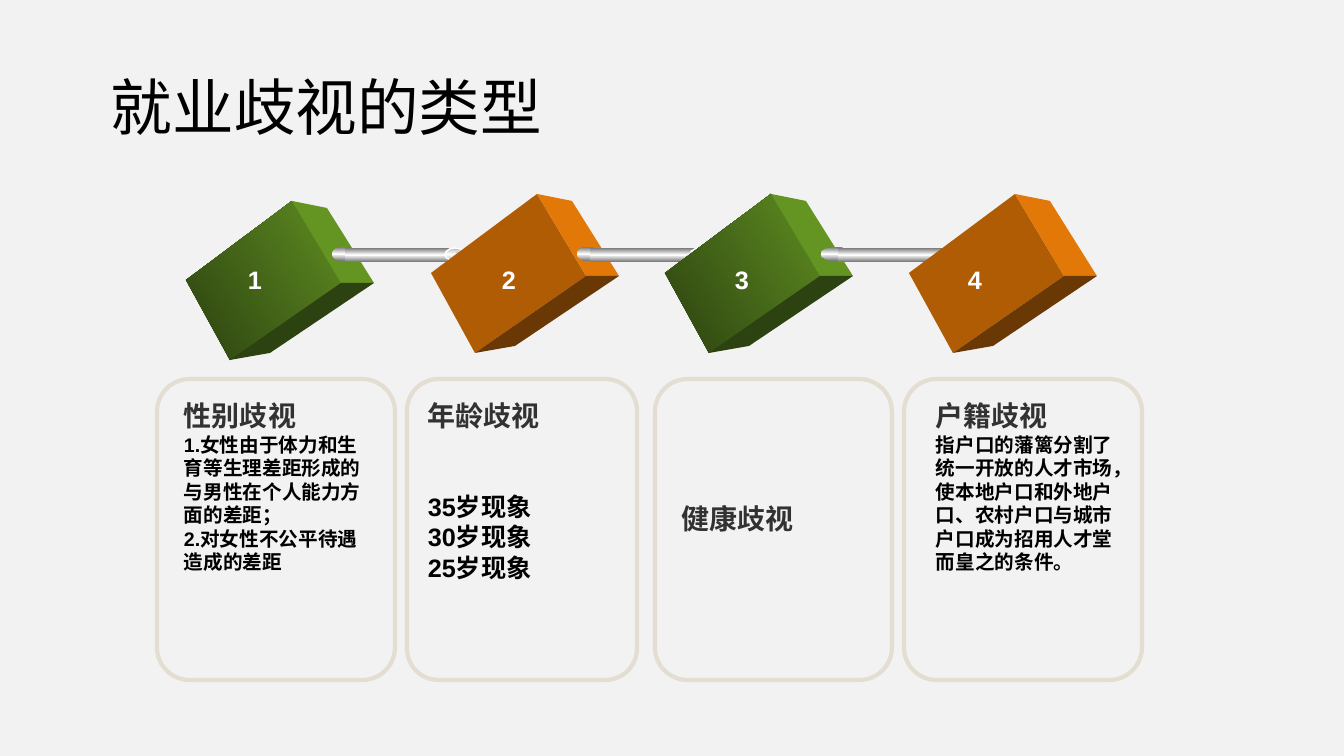
from lxml import etree
from pptx import Presentation
from pptx import util as u
from pptx.dml.color import RGBColor
from pptx.enum import shapes, text
from pptx.oxml.ns import qn

PAPER = RGBColor(0xF2, 0xF2, 0xF2)
BLACK = RGBColor(0, 0, 0)
WHITE = RGBColor(0xFF, 0xFF, 0xFF)
HEADING = RGBColor(0x32, 0x32, 0x32)
BORDER = RGBColor(0xE3, 0xDE, 0xD1)
STEEL = RGBColor(0x76, 0x76, 0x76)
SILVER = RGBColor(0xB6, 0xB6, 0xB6)
GREEN_DEEP = RGBColor(0x2C, 0x42, 0x10)
GREEN_MID = RGBColor(0x5E, 0x8C, 0x21)
GREEN_SIDE = RGBColor(0x64, 0x95, 0x23)
ORANGE_FRONT = RGBColor(0xB0, 0x5C, 0x05)
ORANGE_SIDE = RGBColor(0xE2, 0x78, 0x08)
ORANGE_BASE = RGBColor(0x6A, 0x38, 0x04)

GREEN = [(GREEN_DEEP, GREEN_MID), (GREEN_SIDE,), (GREEN_DEEP,)]
ORANGE = [(ORANGE_FRONT,), (ORANGE_SIDE,), (ORANGE_BASE,)]
FACES = [
    [(292, 201), (341, 283), (230, 360), (186, 280)],
    [(292, 201), (327, 208), (374, 283), (341, 283)],
    [(341, 283), (374, 283), (270, 353), (230, 360)],
]
ROUND, BOX, OVAL = (shapes.MSO_SHAPE.ROUNDED_RECTANGLE,
                    shapes.MSO_SHAPE.RECTANGLE, shapes.MSO_SHAPE.OVAL)
ROD_PARTS = [
    (OVAL, 0, 247, 22, 14, STEEL, None),
    (BOX, 13, 248, 110, 14, STEEL, None),
    (OVAL, 113, 248, 20, 13, SILVER, WHITE),
    (OVAL, 124, 252, 6, 4, SILVER, None),
]

TITLE = {"size": u.Pt(44), "name": "Montserrat", "color": BLACK}
NUMBER = {"size": u.Pt(18), "name": "Arial", "bold": True, "color": WHITE}
HEAD = {"size": u.Pt(20), "name": "Arial", "bold": True, "color": HEADING}
BODY = {**HEAD, "size": u.Pt(14), "color": BLACK}
AGES = {**BODY, "size": u.Pt(18)}


def px(length):
    """Turn pixels into EMU."""
    return round(length * 12192000 / 1344)


class Board:
    """Holds the current slide and its drawing style."""

    def __init__(self, slide):
        self.slide = slide
        slide.background.fill.solid()
        slide.background.fill.fore_color.rgb = PAPER

    def paint(self, shape, colors, angle=90, line=None, width=1):
        """Fill a shape with no, one or several colours and outline it."""
        shape.shadow.inherit = False
        if not colors:
            shape.fill.background()
        elif len(colors) == 1:
            shape.fill.solid()
            shape.fill.fore_color.rgb = colors[0]
        else:
            shape.fill.gradient()
            shape.fill.gradient_angle = angle
            stops = shape._element.spPr.find(".//" + qn("a:gsLst"))
            stops.clear()
            for i, color in enumerate(colors):
                stop = etree.SubElement(stops, qn("a:gs"), pos=str(100000 * i // (len(colors) - 1)))
                etree.SubElement(stop, qn("a:srgbClr"), val=str(color))
        if line is None:
            shape.line.fill.background()
        else:
            shape.line.color.rgb = line
            shape.line.width = u.Pt(width)

    def preset(self, kind, left, top, width, height, colors, line=None, weight=1):
        """Add a preset shape."""
        shape = self.slide.shapes.add_shape(kind, *map(px, (left, top, width, height)))
        self.paint(shape, colors, line=line, width=weight)
        return shape

    def panel(self, left, width):
        """Add a rounded outline panel."""
        shape = self.preset(ROUND, left, 379, width, 301, (), BORDER, 3)
        shape.adjustments[0] = 0.137

    def cube(self, dx, dy, palette):
        """Add a tilted block of three faces."""
        for points, colors in zip(FACES, palette):
            start, *rest = [(px(x + dx), px(y + dy)) for x, y in points]
            outline = self.slide.shapes.build_freeform(*start)
            outline.add_line_segments(rest, close=True)
            self.paint(outline.convert_to_shape(), colors, angle=33)

    def rod(self, left, stretch):
        """Add a metal rod, stretched sideways."""
        for kind, dx, top, width, height, shade, line in ROD_PARTS:
            self.preset(kind, left + round(dx * stretch), top, round(width * stretch),
                        height, (shade, WHITE, shade), line)

    def words(self, left, top, width, height, lines, spacing=None, anchor=text.MSO_ANCHOR.TOP):
        """Add a text box from (text, style, space before) lines."""
        frame = self.slide.shapes.add_textbox(*map(px, (left, top, width, height))).text_frame
        frame.word_wrap = True
        frame.vertical_anchor = anchor
        for i, (wording, style, gap) in enumerate(lines):
            paragraph = frame.add_paragraph() if i else frame.paragraphs[0]
            paragraph.line_spacing = spacing
            if gap:
                paragraph.space_before = u.Pt(gap)
            run = paragraph.add_run()
            run.text = wording
            for name, value in style.items():
                if name == "color":
                    run.font.color.rgb = value
                else:
                    setattr(run.font, name, value)


def main():
    """Build the slide and save it."""
    deck = Presentation()
    deck.slide_width, deck.slide_height = px(1344), px(756)
    board = Board(deck.slides.add_slide(deck.slide_layouts[6]))

    board.words(101, 69, 1034, 83, [("就业歧视的类型", TITLE, 0)], 0.9, text.MSO_ANCHOR.MIDDLE)
    for left, width in [(904, 238), (655, 237), (407, 230), (157, 238)]:
        board.panel(left, width)

    cubes = [(0, 0, GREEN), (245, -7, ORANGE), (479, -7, GREEN), (723, -7, ORANGE)]
    rods = [(332, 1), (577, 1), (821, 1.31)]
    for i, cube in enumerate(cubes):
        board.cube(*cube)
        if i < len(rods):
            board.rod(*rods[i])
    for number, left in enumerate([238, 492, 725, 958], 1):
        board.words(left, 259, 40, 40, [(str(number), NUMBER, 0)])

    kinds = [
        (174, 394, 186, [
            ("性别歧视", HEAD, 0),
            ("1.女性由于体力和生育等生理差距形成的与男性在个人能力方面的差距；", BODY, 0),
            ("2.对女性不公平待遇造成的差距", BODY, 0)]),
        (418, 394, 192, [
            ("年龄歧视", HEAD, 0),
            ("35岁现象", AGES, 42),
            ("30岁现象", AGES, 0),
            ("25岁现象", AGES, 0)]),
        (672, 497, 43, [("健康歧视", HEAD, 0)]),
        (926, 394, 186, [
            ("户籍歧视", HEAD, 0),
            ("指户口的藩篱分割了统一开放的人才市场，使本地户口和外地户口、"
             "农村户口与城市户口成为招用人才堂而皇之的条件。", BODY, 0)]),
    ]
    for left, top, height, lines in kinds:
        board.words(left, top, 202, height, lines)
    deck.save("out.pptx")


if __name__ == "__main__":
    main()
